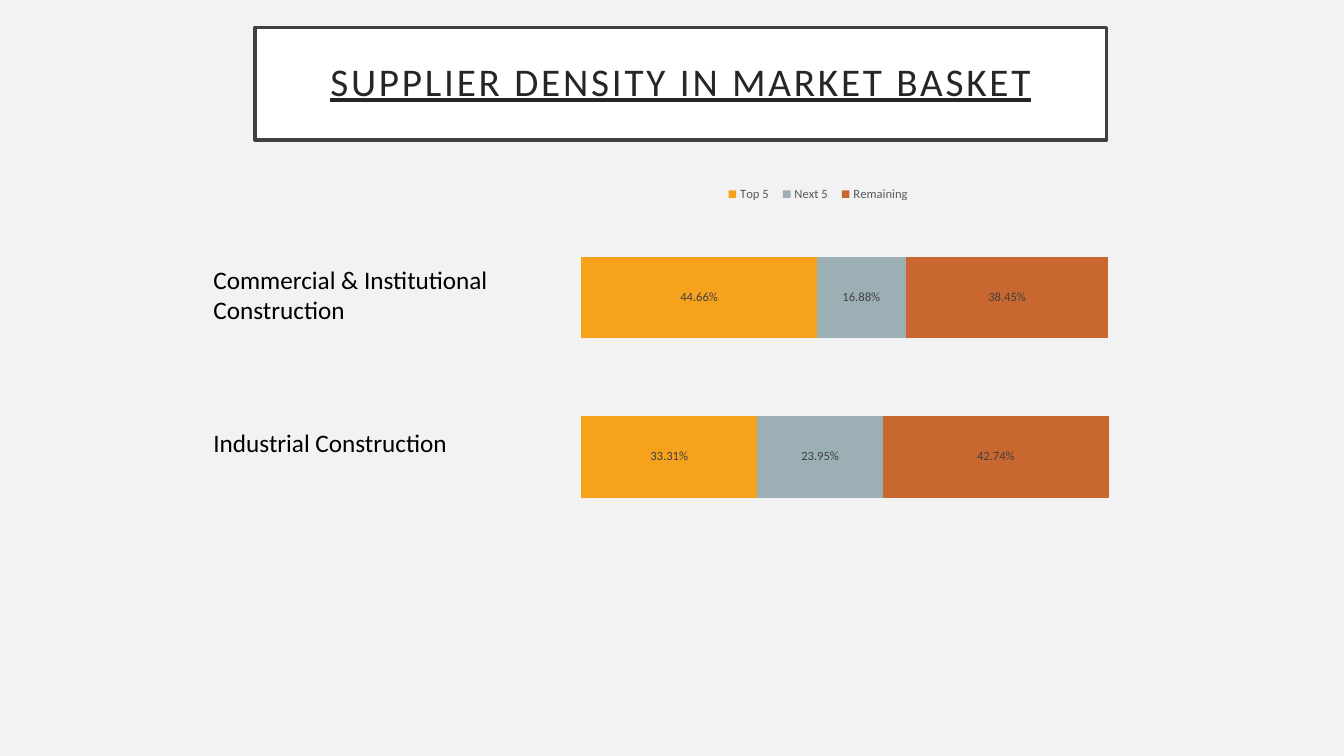
from lxml import etree
from pptx import Presentation
from pptx.chart.data import CategoryChartData
from pptx.dml.color import RGBColor
from pptx.enum.chart import XL_CHART_TYPE, XL_LABEL_POSITION, XL_LEGEND_POSITION
from pptx.enum.text import MSO_ANCHOR, MSO_AUTO_SIZE, PP_ALIGN
from pptx.oxml.ns import qn
from pptx.util import Cm, Pt

STACKED = XL_CHART_TYPE.BAR_STACKED
MIDDLE = XL_LABEL_POSITION.CENTER
TOP = XL_LEGEND_POSITION.TOP
ANCHOR = MSO_ANCHOR.MIDDLE
GROW = MSO_AUTO_SIZE.SHAPE_TO_FIT_TEXT
FIXED = MSO_AUTO_SIZE.NONE
CENTER = PP_ALIGN.CENTER

PAPER = RGBColor(0xF2, 0xF2, 0xF2)
WHITE = RGBColor(0xFF, 0xFF, 0xFF)
BLACK = RGBColor(0, 0, 0)
INK = RGBColor(0x26, 0x26, 0x26)
DARK = RGBColor(0x40, 0x40, 0x40)
GREY = RGBColor(0x59, 0x59, 0x59)
AMBER = RGBColor(0xF6, 0xA2, 0x1D)
SLATE = RGBColor(0x9B, 0xAF, 0xB5)
RUST = RGBColor(0xC9, 0x67, 0x31)

FACE = "Calibri"
PERCENT = "0.00%"
SHARES = [
    ("Top 5", (0.3331, 0.4466), AMBER),
    ("Next 5", (0.2395, 0.1688), SLATE),
    ("Remaining", (0.4274, 0.3845), RUST),
]
LABELS = [
    ("Commercial & Institutional Construction", (5.13, 6.53, 8.33, 1.8)),
    ("Industrial Construction", (5.13, 10.64, 6.65, 1.02)),
]


def apply(item, **values):
    for name, value in values.items():
        setattr(item, name, value)


def style(font, size, color, **more):
    apply(font, name=FACE, size=Pt(size), **more)
    font.color.rgb = color


def arrange(parent, index, box, inner=False):
    """Give a chart part a manual layout, in fractions of the chart."""
    for old in parent.findall(qn("c:layout")):
        parent.remove(old)
    layout = etree.Element(qn("c:layout"))
    manual = etree.SubElement(layout, qn("c:manualLayout"))
    rules = [("layoutTarget", "inner")] if inner else []
    rules += [("xMode", "edge"), ("yMode", "edge")]
    rules += zip("xywh", box)
    for tag, value in rules:
        etree.SubElement(manual, qn(f"c:{tag}")).set("val", str(value))
    parent.insert(index, layout)


def add_title(slide, box):
    title = slide.shapes.title
    left, top, width, height = map(Cm, box)
    apply(title, left=left, top=top, width=width, height=height)
    title.fill.solid()
    title.fill.fore_color.rgb = WHITE
    title.line.color.rgb = DARK
    title.line.width = Pt(2.5)
    frame = title.text_frame
    sides = ("left", "top", "right", "bottom")
    apply(frame, word_wrap=True, auto_size=FIXED, vertical_anchor=ANCHOR,
          **{f"margin_{side}": Cm(0.5) for side in sides})
    para = frame.paragraphs[0]
    apply(para, alignment=CENTER, line_spacing=0.9)
    run = para.add_run()
    run.text = "SUPPLIER DENSITY IN MARKET BASKET"
    style(run.font, 28, INK, underline=True)
    run.font._element.set("spc", "200")


def add_label(slide, text, box):
    frame = slide.shapes.add_textbox(*map(Cm, box)).text_frame
    apply(frame, word_wrap=True, auto_size=GROW)
    run = frame.paragraphs[0].add_run()
    run.text = text
    style(run.font, 18, BLACK)


def add_bars(slide, box):
    data = CategoryChartData(number_format=PERCENT)
    data.categories = ["1", "2"]
    for name, values, _ in SHARES:
        data.add_series(name, values)
    chart = slide.shapes.add_chart(STACKED, *map(Cm, box), data).chart
    apply(chart, has_title=False, has_legend=True)
    style(chart.font, 10, BLACK)

    apply(chart.legend, position=TOP, include_in_layout=False)
    style(chart.legend.font, 9, GREY)
    arrange(chart.legend._element, 1, (0.23, 0.02, 0.3, 0.08))
    area = chart.element.xpath("c:chart/c:plotArea")[0]
    arrange(area, 0, (0.023, 0.123, 0.954, 0.837), inner=True)

    for axis in (chart.category_axis, chart.value_axis):
        apply(axis, visible=False, has_major_gridlines=False)
    apply(chart.value_axis, minimum_scale=0, maximum_scale=1.2)
    chart.value_axis.tick_labels.number_format = PERCENT

    plot = chart.plots[0]
    apply(plot, gap_width=95, overlap=100, vary_by_categories=False)
    for series, (_, _, color) in zip(plot.series, SHARES):
        series.format.fill.solid()
        series.format.fill.fore_color.rgb = color
        labels = series.data_labels
        apply(labels, show_value=True, position=MIDDLE,
              number_format=PERCENT, number_format_is_linked=False)
        style(labels.font, 9, DARK)


def main():
    deck = Presentation()
    apply(deck, slide_width=Cm(33.87), slide_height=Cm(19.05))
    slide = deck.slides.add_slide(deck.slide_layouts[5])
    slide.background.fill.solid()
    slide.background.fill.fore_color.rgb = PAPER
    add_bars(slide, (14.27, 4.32, 16.71, 9.58))
    for text, box in LABELS:
        add_label(slide, text, box)
    add_title(slide, (6.43, 0.69, 21.46, 2.84))
    deck.save("out.pptx")


if __name__ == "__main__":
    main()
